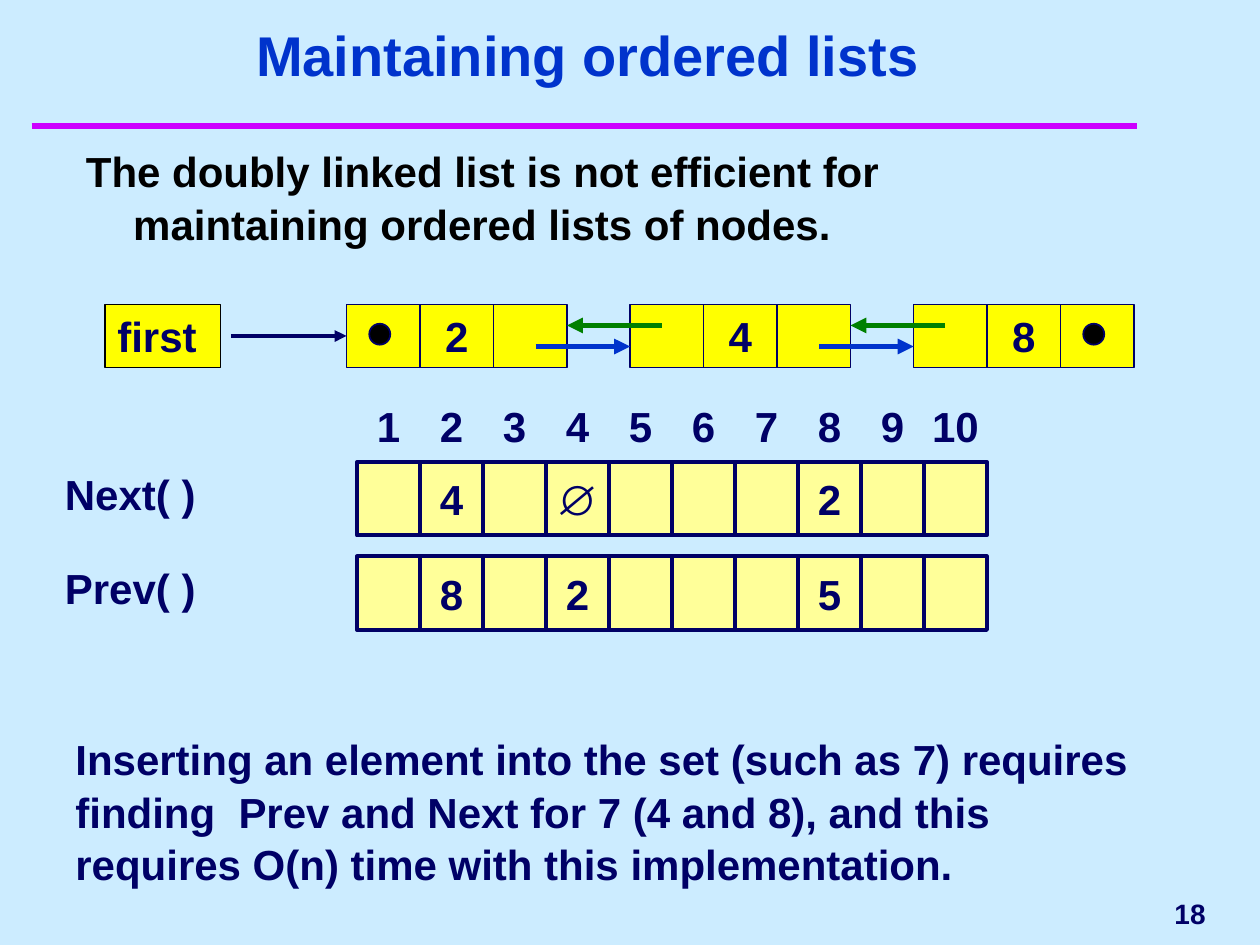
from dataclasses import dataclass

from lxml import etree
from pptx import Presentation, slide, util as u
from pptx.dml.color import RGBColor
from pptx.enum import shapes, text
from pptx.oxml import ns

NAVY = RGBColor(0x00, 0x00, 0x66)
BLUE = RGBColor(0x00, 0x33, 0xCC)
GREEN = RGBColor(0x00, 0x80, 0x00)
MAGENTA = RGBColor(0xCC, 0x00, 0xFF)
YELLOW = RGBColor(0xFF, 0xFF, 0x00)
PALE_YELLOW = RGBColor(0xFF, 0xFF, 0x99)
SKY = RGBColor(0xCC, 0xEC, 0xFF)
BLACK = RGBColor(0x00, 0x00, 0x00)

LEFT, CENTER, RIGHT = text.PP_ALIGN.LEFT, text.PP_ALIGN.CENTER, text.PP_ALIGN.RIGHT
TOP, MIDDLE, BOTTOM = text.MSO_ANCHOR.TOP, text.MSO_ANCHOR.MIDDLE, text.MSO_ANCHOR.BOTTOM
RECT, OVAL = shapes.MSO_SHAPE.RECTANGLE, shapes.MSO_SHAPE.OVAL


@dataclass
class Painter:
    s: slide.Slide
    font: str = "Arial"
    size: float = 24

    def set_text(self, sp, words, color=NAVY, size=None, align=LEFT, anchor=TOP, wrap=True):
        tf = sp.text_frame
        tf.auto_size = text.MSO_AUTO_SIZE.NONE
        tf.word_wrap = wrap
        tf.vertical_anchor = anchor
        p = tf.paragraphs[0]
        p.text = words
        p.alignment = align
        p.font.name = self.font
        p.font.size = u.Pt(size or self.size)
        p.font.bold = True
        p.font.color.rgb = color
        return p

    def title(self, words, x, y, w, h):
        sp = self.s.shapes.title
        sp.left, sp.top, sp.width, sp.height = map(u.Pt, (x, y, w, h))
        self.set_text(sp, words, BLUE, 32, CENTER, BOTTOM)

    def label(self, words, x, y, w, h, **style):
        sp = self.s.shapes.add_textbox(*map(u.Pt, (x, y, w, h)))
        return self.set_text(sp, words, **style)

    def shape(self, kind, x, y, w, h, fill, line=NAVY, weight=1):
        sp = self.s.shapes.add_shape(kind, *map(u.Pt, (x, y, w, h)))
        sp.shadow.inherit = False
        sp.fill.solid()
        sp.fill.fore_color.rgb = fill
        sp.line.color.rgb = line
        sp.line.width = u.Pt(weight)
        return sp

    def cell(self, words, x, y, w, h, fill, weight=1):
        sp = self.shape(RECT, x, y, w, h, fill, weight=weight)
        if words:
            self.set_text(sp, words, align=CENTER, anchor=MIDDLE, wrap=False)
        return sp

    def line(self, x1, y1, x2, y2, color, weight, arrow=True, target=None):
        c = self.s.shapes.add_connector(
            shapes.MSO_CONNECTOR.STRAIGHT, *map(u.Pt, (x1, y1, x2, y2)))
        c.line.color.rgb = color
        c.line.width = u.Pt(weight)
        spPr = c._element.spPr
        if arrow:
            etree.SubElement(spPr.get_or_add_ln(), ns.qn("a:tailEnd"), type="triangle")
        etree.SubElement(spPr, ns.qn("a:effectLst"))
        if target is not None:
            c.end_connect(target, 1)


def main():
    prs = Presentation()
    prs.slide_width, prs.slide_height = u.Pt(720), u.Pt(540)
    s = prs.slides.add_slide(prs.slide_layouts[5])
    s.background.fill.solid()
    s.background.fill.fore_color.rgb = SKY
    painter = Painter(s)

    painter.line(18, 72, 650, 72, MAGENTA, 4, arrow=False)
    painter.title("Maintaining ordered lists", 30, 24, 612, 30)
    p = painter.label(
        "The doubly linked list is not efficient for maintaining ordered lists of nodes.",
        42, 78, 608, 108, color=BLACK)
    p.line_spacing = 1.05
    pPr = p._p.get_or_add_pPr()
    pPr.set("marL", str(u.Pt(27)))
    pPr.set("indent", str(-u.Pt(27)))

    list_x, list_y, node_step = 198, 174, 162
    field_w, field_h = 42, 36
    first = painter.shape(RECT, 60, list_y, 66, field_h, YELLOW, BLACK)
    painter.set_text(first, "first", anchor=MIDDLE)

    nodes = []
    for i, value in enumerate(("2", "4", "8")):
        x = list_x + i * node_step
        nodes.append([painter.cell(words, x + j * field_w, list_y, field_w, field_h, YELLOW)
                      for j, words in enumerate(("", value, ""))])
    middle = list_y + field_h / 2
    painter.line(132, middle, list_x, middle, NAVY, 2.25, target=nodes[0][0])
    for x in (list_x + node_step, list_x + 2 * node_step):
        painter.line(x + 18, list_y + 12, x - 36, list_y + 12, GREEN, 3)
        painter.line(x - 54, list_y + 24, x, list_y + 24, BLUE, 3)
    for x in (list_x, list_x + 2 * node_step + 2 * field_w):
        painter.shape(OVAL, x + 13, list_y + 11, 12, 12, BLACK)

    array_x, cell_w, cell_h = 204, 36, 42
    columns = range(1, 11)
    for n in columns:
        painter.label(str(n), array_x + (n - 1) * cell_w, 222, cell_w, cell_h,
                      align=CENTER, anchor=MIDDLE, wrap=False)
    arrays = (
        ("Next( )", 264, {2: "4", 4: "∅", 8: "2"}),
        ("Prev( )", 318, {2: "8", 4: "2", 8: "5"}),
    )
    for name, y, values in arrays:
        painter.label(name, 30, y, 132, 36, anchor=MIDDLE)
        for n in columns:
            painter.cell(values.get(n, ""), array_x + (n - 1) * cell_w, y,
                         cell_w, cell_h, PALE_YELLOW, 2.25)

    p = painter.label(
        "Inserting an element into the set (such as 7) requires finding  Prev and Next "
        "for 7 (4 and 8), and this requires O(n) time with this implementation.",
        36, 414, 624, 94)
    p.line_spacing = 1.05
    painter.label("18", 558, 504, 138, 36, size=16, align=RIGHT, anchor=MIDDLE)

    prs.save("out.pptx")


if __name__ == "__main__":
    main()
